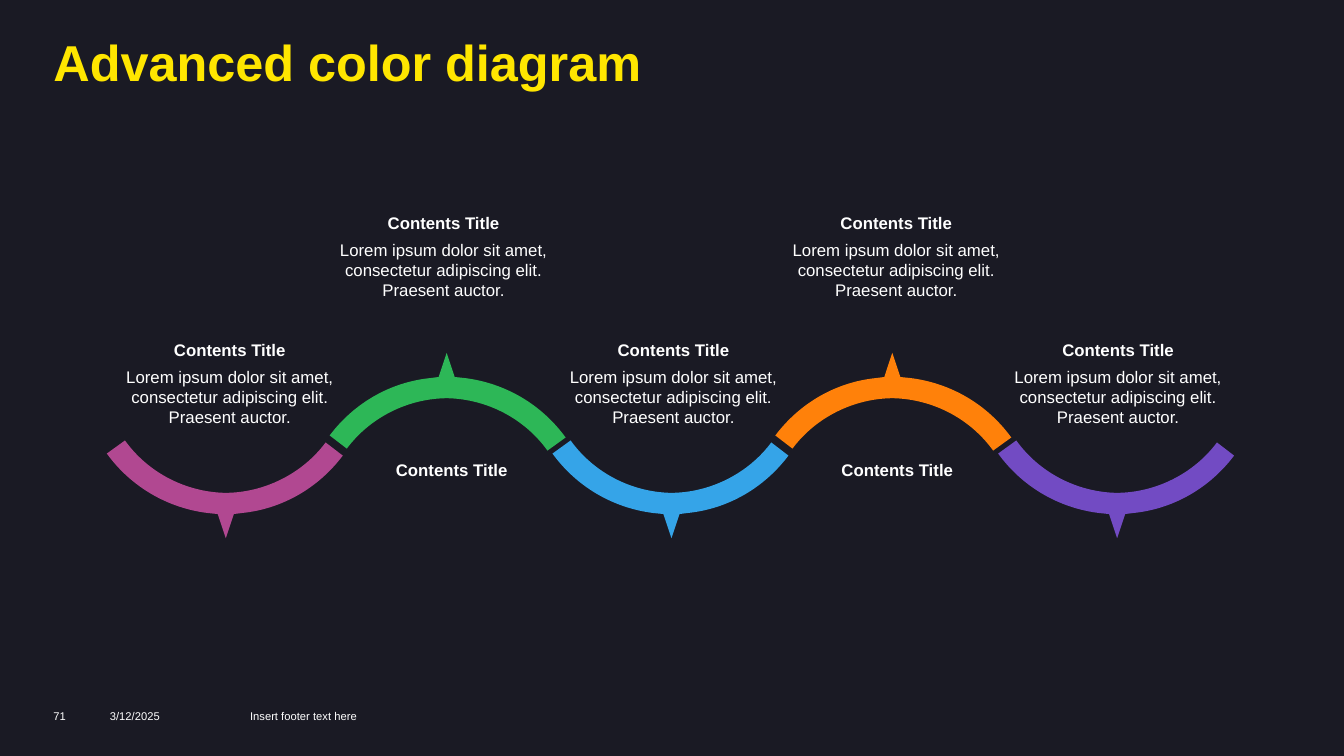
"""Build the wave diagram slide with five coloured arcs and their captions."""
from dataclasses import dataclass

from lxml import etree
from pptx import Presentation
from pptx import util as u
from pptx.dml.color import RGBColor
from pptx.enum import text
from pptx.oxml.ns import qn


@dataclass(frozen=True)
class Theme:
    font: str = "Arial"
    ground: str = "1A1A24"
    accent: str = "FFE600"
    ink: str = "FFFFFF"
    headline: int = 36
    body: int = 12
    footer: int = 8


THEME = Theme()
HEADLINE = "Advanced color diagram"
CAPTION = "Contents Title"
DETAIL = "Lorem ipsum dolor sit amet, consectetur adipiscing elit. Praesent auctor."
STAGES = [
    {"color": "B14891", "caption_left": 1.06, "up": False},
    {"color": "2DB757", "caption_left": 3.18, "up": True},
    {"color": "35A4E8", "caption_left": 5.46, "up": False},
    {"color": "FF810A", "caption_left": 7.67, "up": True},
    {"color": "724BC3", "caption_left": 9.87, "up": False},
]
FOOTERS = [("3/12/2025", 1.09, 1.4), ("Insert footer text here", 2.48, 4.18), ("71", 0.53, 0.56)]

SLIDE_WIDTH, SLIDE_HEIGHT = 13.33, 7.5
FIRST_ARC, WAVE_STEP = 1.06, 2.21
ARC_ROW = {True: 3.5, False: 4.37}
CAPTION_ROW = {True: 2.06, False: 3.32}
CAPTION_WIDTH, CAPTION_HEIGHT = 2.44, 0.3
DETAIL_DROP, DETAIL_HEIGHT = 0.27, 0.71
INNER_INDENT, INNER_ROW, INNER_WIDTH = 0.5, 4.51, 1.42

ARC = [
    [(1.18, 0.97)],
    [(1.26, 0.73)],
    [(1.34, 0.72)],
    [(1.74, 0.68), (2.1, 0.47), (2.34, 0.15)],
    [(2.17, 0.02)],
    [(1.94, 0.33), (1.56, 0.52), (1.17, 0.52)],
    [(0.78, 0.51), (0.41, 0.32), (0.18, 0)],
    [(0, 0.13)],
    [(0.24, 0.46), (0.6, 0.67), (1, 0.72)],
    [(1.1, 0.73)],
]


def write(slide, words, box, size, color=THEME.ink, bold=False, centred=False, spacing=None):
    """Place one paragraph of text; only centred text keeps its margins."""
    frame = slide.shapes.add_textbox(*map(u.Inches, box)).text_frame
    frame.word_wrap = True
    paragraph = frame.paragraphs[0]
    if centred:
        frame.auto_size = text.MSO_AUTO_SIZE.SHAPE_TO_FIT_TEXT
        paragraph.alignment = text.PP_ALIGN.CENTER
    else:
        frame.margin_left = frame.margin_right = frame.margin_top = frame.margin_bottom = 0
    if spacing:
        paragraph.line_spacing = spacing
    run = paragraph.add_run()
    run.text = words
    run.font.name = THEME.font
    run.font.size = u.Pt(size)
    run.font.bold = bold
    run.font.color.rgb = RGBColor.from_string(color)


def write_stage(slide, stage):
    """Write the detail and caption of one stage."""
    left, top = stage["caption_left"], CAPTION_ROW[stage["up"]]
    write(slide, DETAIL, (left, top + DETAIL_DROP, CAPTION_WIDTH, DETAIL_HEIGHT),
          THEME.body, centred=True)
    write(slide, CAPTION, (left, top, CAPTION_WIDTH, CAPTION_HEIGHT),
          THEME.body, bold=True, centred=True)


def bend(arc):
    """Join the points of each three-point segment into one cubic curve."""
    lines = arc.element.findall(".//" + qn("a:lnTo"))
    for segment in ARC[1:]:
        group, lines = lines[:len(segment)], lines[len(segment):]
        if len(group) == 3:
            curve = etree.Element(qn("a:cubicBezTo"))
            group[0].addprevious(curve)
            for line in group:
                curve.append(line[0])
                line.getparent().remove(line)


def draw_arc(slide, left, stage):
    """Draw one arc with its pointer, turned over when it points up."""
    top = ARC_ROW[stage["up"]]
    points = [(u.Inches(left + x), u.Inches(top + y)) for segment in ARC for x, y in segment]
    builder = slide.shapes.build_freeform(*points[0])
    builder.add_line_segments(points[1:], close=True)
    arc = builder.convert_to_shape()
    bend(arc)
    if stage["up"]:
        arc.rotation = 180
    arc.shadow.inherit = False
    arc.fill.solid()
    arc.fill.fore_color.rgb = RGBColor.from_string(stage["color"])
    arc.line.fill.background()


def main():
    deck = Presentation()
    deck.slide_width, deck.slide_height = u.Inches(SLIDE_WIDTH), u.Inches(SLIDE_HEIGHT)
    slide = deck.slides.add_slide(deck.slide_layouts[6])
    slide.background.fill.solid()
    slide.background.fill.fore_color.rgb = RGBColor.from_string(THEME.ground)

    write(slide, HEADLINE, (0.53, 0.4, 12.28, 0.51), THEME.headline,
          THEME.accent, bold=True, spacing=0.85)
    for words, left, width in FOOTERS:
        write(slide, words, (left, 7.04, width, 0.13), THEME.footer)

    arc_lefts = [FIRST_ARC + WAVE_STEP * index for index in range(len(STAGES))]
    for stage in sorted(STAGES, key=lambda stage: stage["up"]):
        write_stage(slide, stage)
    for left, stage in zip(arc_lefts, STAGES):
        if stage["up"]:
            write(slide, CAPTION, (left + INNER_INDENT, INNER_ROW, INNER_WIDTH, CAPTION_HEIGHT),
                  THEME.body, bold=True, centred=True)
    for left, stage in zip(arc_lefts, STAGES):
        draw_arc(slide, left, stage)
    deck.save("out.pptx")


if __name__ == "__main__":
    main()
